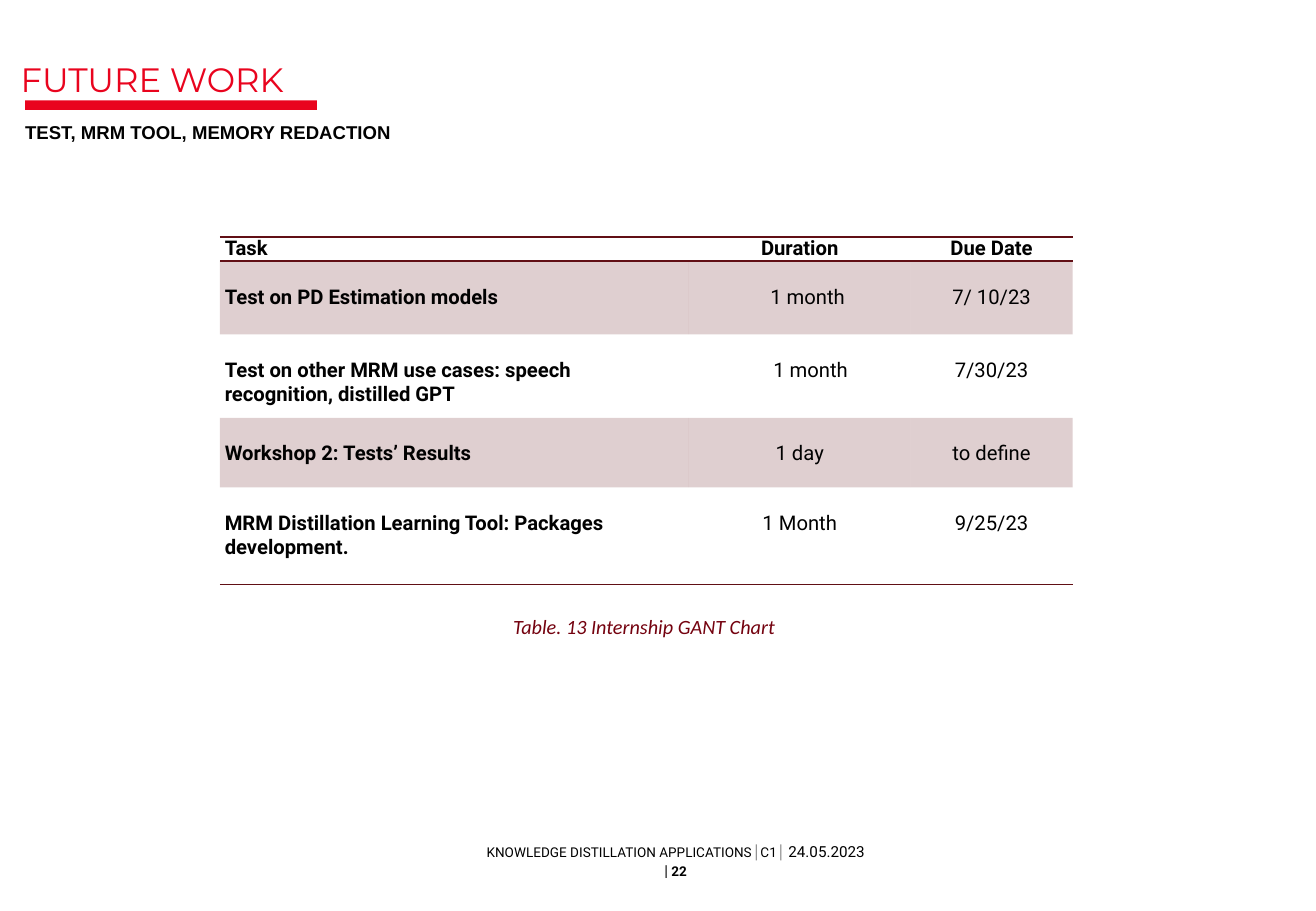
from lxml import etree
from pptx import Presentation
from pptx.dml.color import RGBColor
from pptx.enum.shapes import MSO_SHAPE
from pptx.enum.text import MSO_ANCHOR, PP_ALIGN
from pptx.oxml.ns import qn
from pptx.util import Inches, Pt

RECTANGLE = MSO_SHAPE.RECTANGLE
TOP, MIDDLE = MSO_ANCHOR.TOP, MSO_ANCHOR.MIDDLE
LEFT, CENTER = PP_ALIGN.LEFT, PP_ALIGN.CENTER

RED = RGBColor(0xE9, 0x04, 0x1E)
INK = RGBColor(0x01, 0x01, 0x01)
GRAY = RGBColor(0x80, 0x80, 0x80)
WINE = RGBColor(0x61, 0x0F, 0x15)
CAPTION_WINE = RGBColor(0x74, 0x02, 0x0F)

SLIDE_W, SLIDE_H = Inches(10.83), Inches(7.5)
NO_STYLE = "{2D5ABB26-0587-4C30-8999-92F81FD0307C}"

# Task, duration, due date, extra indent of the duration in inches
TASKS = [
    ("Test on PD Estimation models", "1 month", "7/ 10/23", 0.13),
    ("Test on other MRM use cases: speech recognition, distilled GPT",
     "1 month", "7/30/23", 0.18),
    ("Workshop 2: Tests’ Results", "1 day", "to define", 0),
    ("MRM Distillation Learning Tool: Packages development.",
     "1 Month", "9/25/23", 0),
]
COLUMN_SHARES = (0.55, 0.26, 0.19)
ROW_SHARES = (0.07, 0.21, 0.24, 0.2, 0.28)


def percent_box(x, y, w, h):
    """Box given in percent of the slide's width and height."""
    return (round(SLIDE_W * x / 100), round(SLIDE_H * y / 100),
            round(SLIDE_W * w / 100), round(SLIDE_H * h / 100))


def part(box, x, y, w, h):
    """Box given in shares of another box."""
    left, top, width, height = box
    return (round(left + width * x), round(top + height * y),
            round(width * w), round(height * h))


def add_run(paragraph, text, font, size, color, bold=False, italic=False):
    run = paragraph.add_run()
    run.text = text
    run.font.name = font
    run.font.size = Pt(size)
    run.font.color.rgb = color
    run.font.bold = bold
    run.font.italic = italic


def add_text(slide, box, align=LEFT, anchor=TOP):
    frame = slide.shapes.add_textbox(*box).text_frame
    frame.word_wrap = True
    frame.vertical_anchor = anchor
    frame.margin_left = frame.margin_right = 0
    frame.margin_top = frame.margin_bottom = 0
    paragraph = frame.paragraphs[0]
    paragraph.alignment = align
    return paragraph


def add_header(slide, box):
    title = add_text(slide, part(box, 0, 0, 1, 0.48))
    add_run(title, "FUTURE WORK", "Montserrat", 20, RED)

    bar = slide.shapes.add_shape(RECTANGLE, *part(box, 0.01, 0.49, 0.66, 0.11))
    bar.shadow.inherit = False
    bar.fill.solid()
    bar.fill.fore_color.rgb = RED
    bar.line.fill.background()

    subtitle = add_text(slide, part(box, 0.01, 0.73, 0.99, 0.27))
    add_run(subtitle, "TEST, MRM TOOL, MEMORY REDACTION", "Arial", 11, INK, bold=True)


def add_rules(cell, sides):
    """Draw wine lines on the sides named, ahead of the cell's fill."""
    properties = cell._tc.get_or_add_tcPr()
    for position, side in enumerate(sides):
        line = etree.Element(qn(f"a:ln{side}"), w=str(Pt(1)))
        fill = etree.SubElement(line, qn("a:solidFill"))
        etree.SubElement(fill, qn("a:srgbClr"), val=str(WINE))
        properties.insert(position, line)


def tint(cell):
    cell.fill.solid()
    cell.fill.fore_color.rgb = WINE
    color = cell._tc.tcPr.find(".//" + qn("a:srgbClr"))
    etree.SubElement(color, qn("a:alpha"), val="20000")


def add_schedule(slide, box):
    rows, columns = len(ROW_SHARES), len(COLUMN_SHARES)
    table = slide.shapes.add_table(rows, columns, *box).table
    table.first_row = table.horz_banding = False
    table._tbl.tblPr.find(qn("a:tableStyleId")).text = NO_STYLE
    for column, share in zip(table.columns, COLUMN_SHARES):
        column.width = round(box[2] * share)
    for row, share in zip(table.rows, ROW_SHARES):
        row.height = round(box[3] * share)

    for r, (*texts, indent) in enumerate([("Task", "Duration", "Due Date", 0)] + TASKS):
        for c, text in enumerate(texts):
            cell = table.cell(r, c)
            cell.margin_left = Inches(0.04 + (indent if c == 1 else 0))
            cell.margin_right = Inches(0.04)
            cell.margin_top = Inches(0.2 if r else 0)
            cell.margin_bottom = 0
            paragraph = cell.text_frame.paragraphs[0]
            paragraph.alignment = CENTER if c else LEFT
            add_run(paragraph, text, "Roboto", 12, INK, bold=r == 0 or c == 0)
            if r % 2:
                tint(cell)
            else:
                cell.fill.background()
            if r == 0:
                add_rules(cell, "TB")
            elif r == rows - 1:
                add_rules(cell, "B")


def add_caption(slide, box):
    caption = add_text(slide, box, CENTER, MIDDLE)
    add_run(caption, "Table. 13 Internship GANT Chart", "Calibri", 12,
            CAPTION_WINE, italic=True)


def add_footer(slide, box):
    footer = add_text(slide, box, CENTER, MIDDLE)
    for text, size, color, bold in [
        ("KNOWLEDGE DISTILLATION APPLICATIONS", 8, INK, False),
        ("│", 8, GRAY, False),
        ("C1", 8, INK, False),
        ("│ ", 8, GRAY, False),
        ("24.05.2023 |", 9, INK, False),
        (" 22", 8, INK, True),
    ]:
        add_run(footer, text, "Roboto", size, color, bold)


def main():
    deck = Presentation()
    deck.slide_width, deck.slide_height = SLIDE_W, SLIDE_H
    slide = deck.slides.add_slide(deck.slide_layouts[6])
    add_header(slide, percent_box(1.57, 6.4, 33.6, 9.46))
    add_schedule(slide, percent_box(16.71, 26, 64.8, 38.2))
    add_caption(slide, percent_box(34.2, 66.9, 29.5, 3.7))
    add_footer(slide, percent_box(36.84, 92.5, 29, 4))
    deck.save("out.pptx")


if __name__ == "__main__":
    main()
